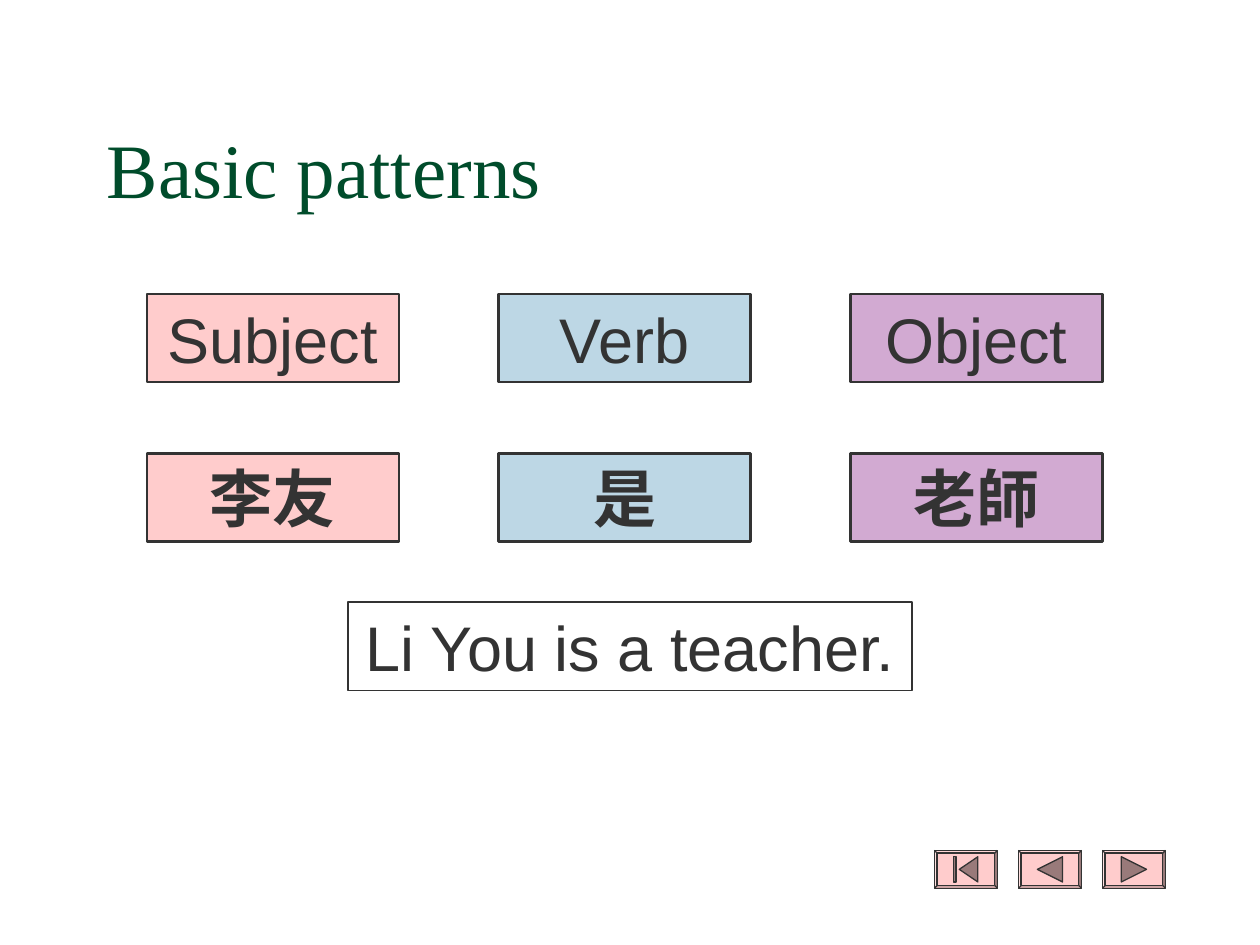
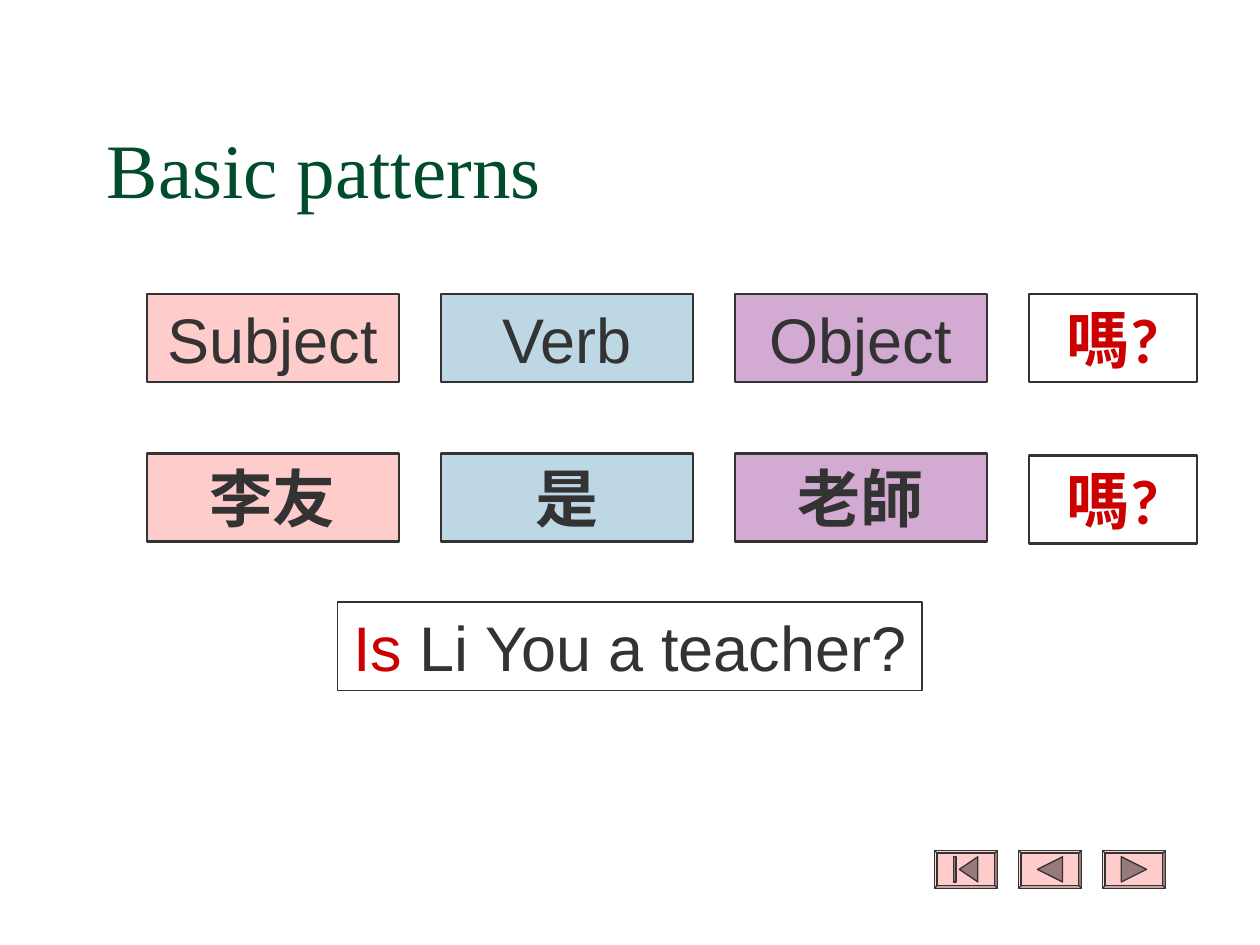
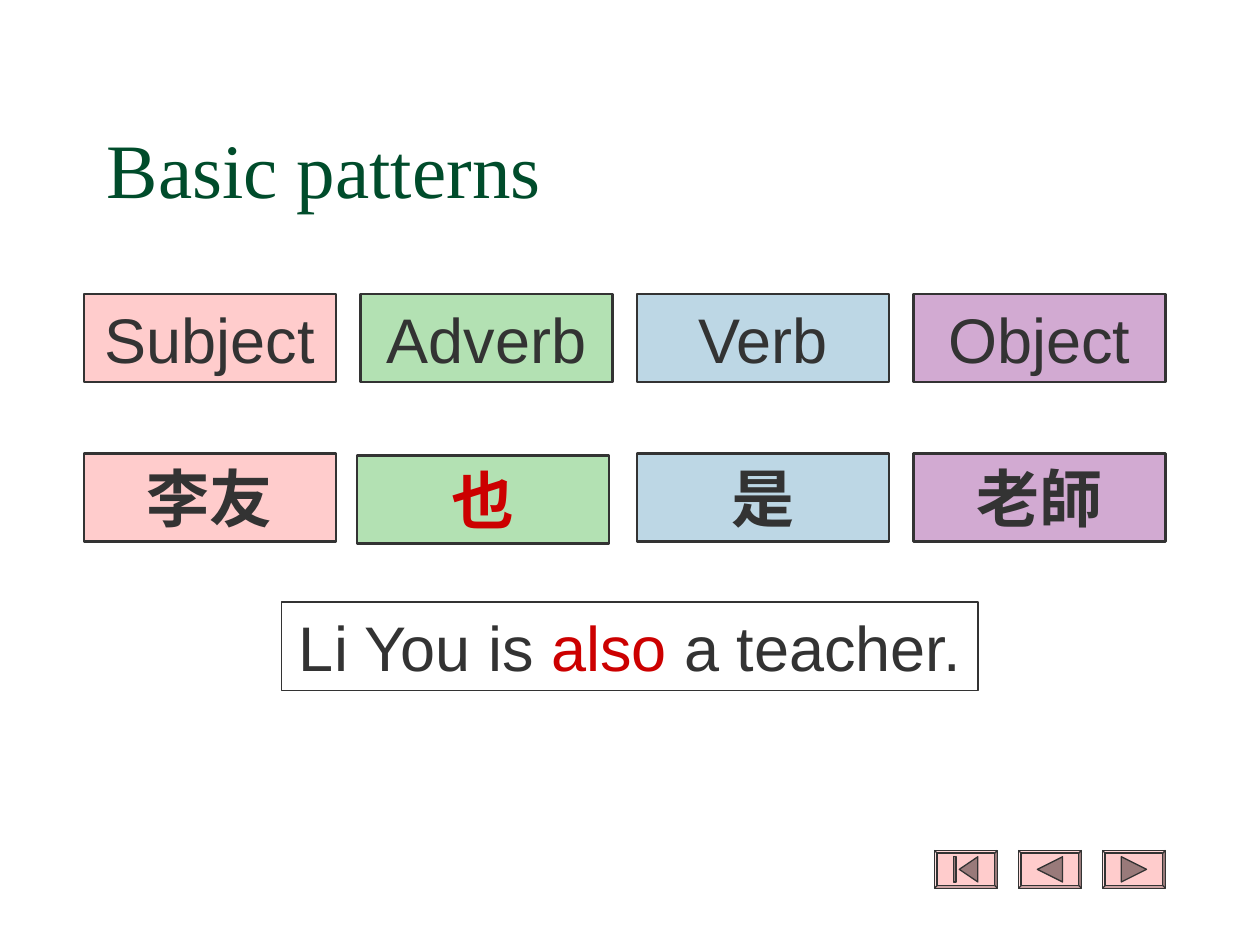
from dataclasses import dataclass

from pptx import Presentation
from pptx.dml.color import RGBColor
from pptx.enum.shapes import MSO_SHAPE
from pptx.enum.text import MSO_ANCHOR, PP_ALIGN
from pptx.util import Pt

RECTANGLE, BEVEL = MSO_SHAPE.RECTANGLE, MSO_SHAPE.BEVEL
MIDDLE, BOTTOM = MSO_ANCHOR.MIDDLE, MSO_ANCHOR.BOTTOM
CENTER = PP_ALIGN.CENTER


@dataclass(frozen=True)
class Theme:
    ink: str = "333333"
    title: str = "004C2B"
    accent: str = "CC0000"
    paper: str = "FFFFFF"
    pink: str = "FFCCCC"
    blue: str = "BDD7E5"
    purple: str = "D2AAD2"
    green: str = "B3E1B3"
    icon: str = "997A7A"
    title_font: str = "Times New Roman"
    label_font: str = "Arial"
    chinese_font: str = "Calibri"
    title_size: float = 44
    body_size: float = 36


THEME = Theme()

# Shared layout, in points
CELL_WIDTH, CELL_HEIGHT = 144, 50.4
LABEL_TOP, CHINESE_TOP, SENTENCE_TOP = 168, 259.2, 344.2
SLIDE_WIDTH, SLIDE_HEIGHT = 720, 540
BUTTON_LEFT, BUTTON_TOP, BUTTON_STEP = 534, 486, 48
BUTTON_WIDTH, BUTTON_HEIGHT = 36, 21.6

# Button icons: polygons relative to the top left corner of a button
BUTTON_ICONS = [
    [[(14.2, 10.8), (24.8, 3.6), (24.8, 18)],
     [(10.8, 3.6), (12.4, 3.6), (12.4, 18), (10.8, 18)]],
    [[(10.8, 10.8), (25.2, 3.6), (25.2, 18)]],
    [[(10.8, 3.6), (25.2, 10.8), (10.8, 18)]],
]


@dataclass(frozen=True)
class Word:
    label: str
    chinese: str
    fill: str
    width: float = CELL_WIDTH
    label_color: str = THEME.ink
    label_font: str = THEME.label_font
    chinese_color: str = THEME.ink
    shift: tuple = (0, 0)  # offset of the Chinese cell from the grid


SUBJECT = Word("Subject", "李友", THEME.pink)
VERB = Word("Verb", "是", THEME.blue)
OBJECT = Word("Object", "老師", THEME.purple)
ADVERB = Word("Adverb", "也", THEME.green, chinese_color=THEME.accent, shift=(-2, 1))
QUESTION = Word("嗎?", "嗎?", THEME.paper, width=96, label_color=THEME.accent,
                label_font=THEME.chinese_font, chinese_color=THEME.accent, shift=(0, 1))


class Deck:
    def __init__(self, theme):
        self.theme = theme
        self.presentation = Presentation()
        self.presentation.slide_width = Pt(SLIDE_WIDTH)
        self.presentation.slide_height = Pt(SLIDE_HEIGHT)
        self.slide = None

    def new_slide(self, title):
        self.slide = self.presentation.slides.add_slide(self.presentation.slide_layouts[6])
        self.navigation()
        self.title(title)

    def paint(self, shape, fill, line_width):
        shape.shadow.inherit = False
        shape.fill.solid()
        shape.fill.fore_color.rgb = RGBColor.from_string(fill)
        shape.line.color.rgb = RGBColor.from_string(self.theme.ink)
        shape.line.width = Pt(line_width)

    def fill_paragraph(self, paragraph, runs, font, size, bold=False):
        for text, color in runs:
            run = paragraph.add_run()
            run.text = text
            run.font.color.rgb = RGBColor.from_string(color)
        paragraph.font.name = font
        paragraph.font.size = Pt(size)
        paragraph.font.bold = bold

    def title(self, text):
        box = self.slide.shapes.add_textbox(Pt(54), Pt(36), Pt(612), Pt(90))
        frame = box.text_frame
        frame.word_wrap = True
        frame.vertical_anchor = BOTTOM
        self.fill_paragraph(frame.paragraphs[0], [(text, self.theme.title)],
                            self.theme.title_font, self.theme.title_size)

    def box(self, left, top, width, fill, runs, font, line_width=1.5, wrap=True):
        shape = self.slide.shapes.add_shape(
            RECTANGLE, Pt(left), Pt(top), Pt(width), Pt(CELL_HEIGHT))
        self.paint(shape, fill, line_width)
        frame = shape.text_frame
        frame.word_wrap = wrap
        frame.vertical_anchor = MIDDLE
        paragraph = frame.paragraphs[0]
        paragraph.alignment = CENTER
        self.fill_paragraph(paragraph, runs, font, self.theme.body_size,
                            bold=font == self.theme.chinese_font)

    def pattern(self, words, left, step):
        for index, word in enumerate(words):
            x = left + index * step
            shift_x, shift_y = word.shift
            self.box(x, LABEL_TOP, word.width, word.fill,
                     [(word.label, word.label_color)], word.label_font)
            self.box(x + shift_x, CHINESE_TOP + shift_y, word.width, word.fill,
                     [(word.chinese, word.chinese_color)], self.theme.chinese_font)

    def sentence(self, width, runs):
        self.box((SLIDE_WIDTH - width) / 2, SENTENCE_TOP, width, self.theme.paper,
                 runs, self.theme.label_font, line_width=1, wrap=False)

    def polygon(self, points, fill):
        corners = [(Pt(x), Pt(y)) for x, y in points]
        builder = self.slide.shapes.build_freeform(*corners[0])
        builder.add_line_segments(corners[1:], close=True)
        self.paint(builder.convert_to_shape(), fill, 0.75)

    def navigation(self):
        for index, icon in enumerate(BUTTON_ICONS):
            left = BUTTON_LEFT + index * BUTTON_STEP
            button = self.slide.shapes.add_shape(
                BEVEL, Pt(left), Pt(BUTTON_TOP), Pt(BUTTON_WIDTH), Pt(BUTTON_HEIGHT))
            button.adjustments[0] = 0.07
            self.paint(button, self.theme.pink, 0.75)
            for points in icon:
                self.polygon([(left + x, BUTTON_TOP + y) for x, y in points], self.theme.icon)


def main():
    deck = Deck(THEME)
    ink, accent = THEME.ink, THEME.accent

    # Statement
    deck.new_slide("Basic patterns")
    deck.pattern([SUBJECT, VERB, OBJECT], left=84, step=201)
    deck.sentence(322.6, [("Li You is a teacher.", ink)])

    # Question
    deck.new_slide("Basic patterns")
    deck.pattern([SUBJECT, VERB, OBJECT, QUESTION], left=84, step=168)
    deck.sentence(334.1, [("Is", accent), (" Li You a teacher?", ink)])

    # Statement with an adverb
    deck.new_slide("Basic patterns")
    deck.pattern([SUBJECT, ADVERB, VERB, OBJECT], left=48, step=158)
    deck.sentence(398.2, [("Li You is ", ink), ("also ", accent), ("a teacher.", ink)])

    deck.presentation.save("out.pptx")


if __name__ == "__main__":
    main()
